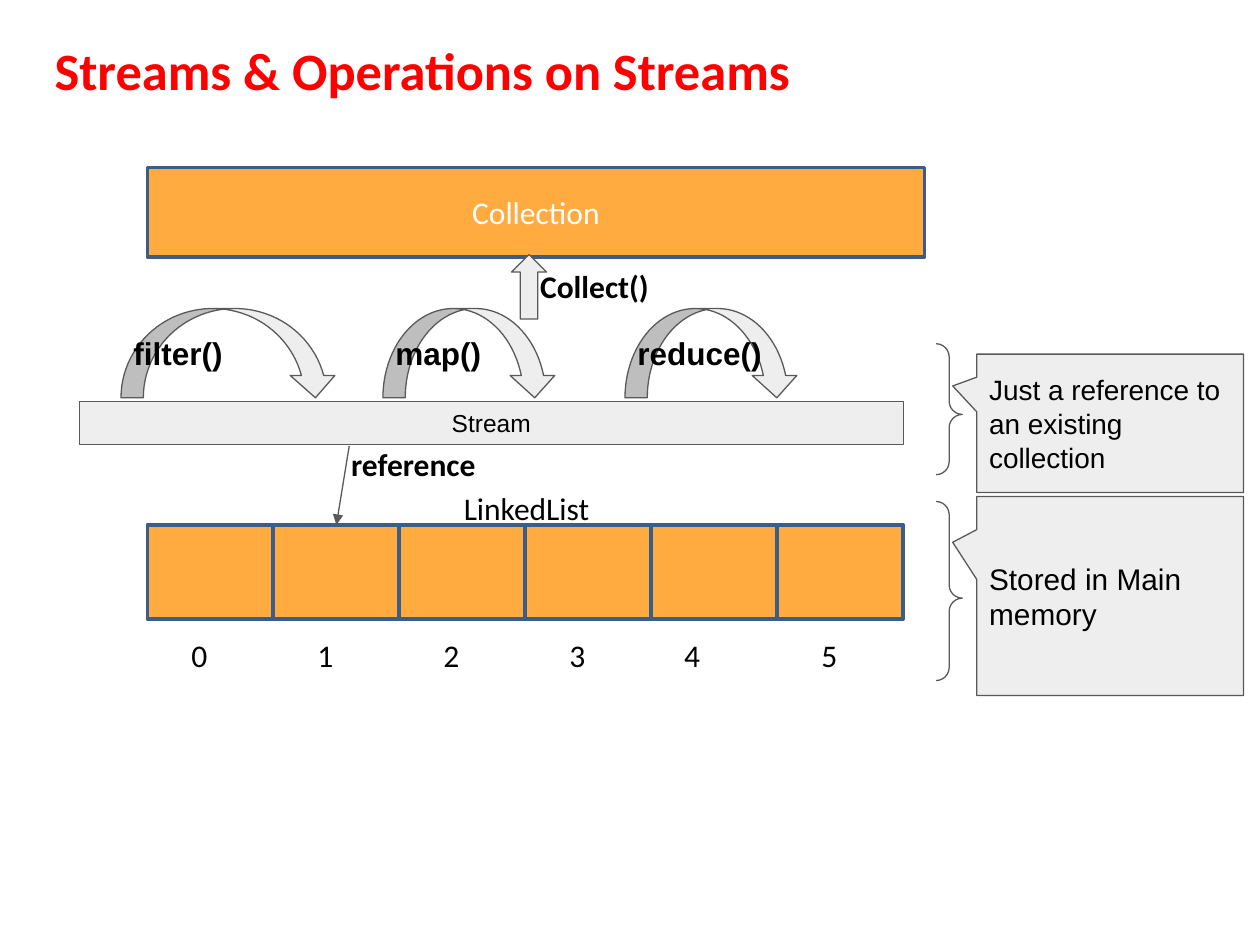
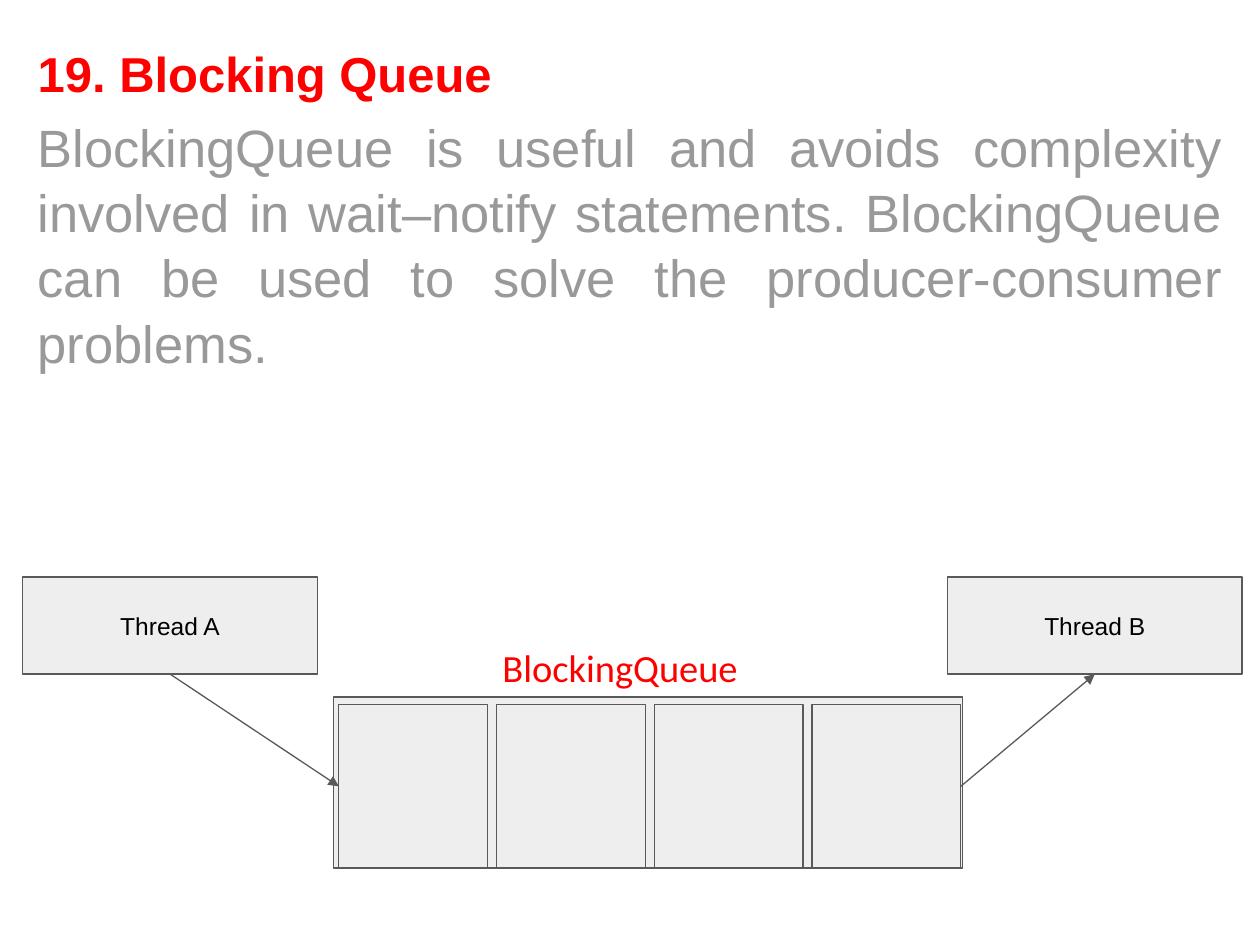
from lxml import etree
from pptx import Presentation
from pptx.dml.color import RGBColor
from pptx.enum.shapes import MSO_CONNECTOR, MSO_SHAPE
from pptx.enum.text import MSO_ANCHOR, MSO_AUTO_SIZE, PP_ALIGN
from pptx.oxml.ns import qn
from pptx.util import Cm, Pt

RECT = MSO_SHAPE.RECTANGLE
BRACE = MSO_SHAPE.RIGHT_BRACE
CALLOUT = MSO_SHAPE.ROUNDED_RECTANGULAR_CALLOUT
CURVED_ARROW = MSO_SHAPE.CURVED_DOWN_ARROW
UP_ARROW = MSO_SHAPE.UP_ARROW
STRAIGHT = MSO_CONNECTOR.STRAIGHT
TOP, MIDDLE = MSO_ANCHOR.TOP, MSO_ANCHOR.MIDDLE
LEFT, CENTER, JUSTIFY = PP_ALIGN.LEFT, PP_ALIGN.CENTER, PP_ALIGN.JUSTIFY
NO_AUTOFIT = MSO_AUTO_SIZE.NONE
TITLE_ONLY = 5
SIDE_TOP, SIDE_LEFT, SIDE_BOTTOM, SIDE_RIGHT = range(4)

RED, BLACK, WHITE = "FF0000", "000000", "FFFFFF"
ORANGE, BLUE = "FFAB40", "395E89"
LIGHT, DARK, GREY = "EEEEEE", "595959", "999999"
SANS, HUMANIST = "Arial", "Calibri"


def rgb(value):
    return RGBColor.from_string(value)


def write(shape, text, size=18, font=HUMANIST, color=BLACK, bold=False,
          align=LEFT, anchor=TOP, inset=0.13, spacing=None):
    """Put one formatted paragraph in a shape; inset is the vertical margin in cm."""
    tf = shape.text_frame
    tf.word_wrap = True
    tf.auto_size = NO_AUTOFIT
    tf.vertical_anchor = anchor
    tf.margin_left = tf.margin_right = Cm(0.25)
    tf.margin_top = tf.margin_bottom = Cm(inset)
    p = tf.paragraphs[0]
    p.alignment = align
    if spacing:
        p.line_spacing = spacing
    r = p.add_run()
    r.text = text
    r.font.size = Pt(size)
    r.font.name = font
    r.font.bold = bold
    r.font.color.rgb = rgb(color)


def add_titled_slide(prs, text, left, top, width, height, **fmt):
    s = prs.slides.add_slide(prs.slide_layouts[TITLE_ONLY])
    title = s.shapes.title
    title.left, title.top = Cm(left), Cm(top)
    title.width, title.height = Cm(width), Cm(height)
    write(title, text, color=RED, bold=True, **fmt)
    return s


def add_label(s, text, left, top, width, height, **fmt):
    box = s.shapes.add_textbox(Cm(left), Cm(top), Cm(width), Cm(height))
    write(box, text, **fmt)


def add_box(s, left, top, width, height, kind=RECT, fill=LIGHT, line=DARK,
            weight=0.75, adjust=()):
    sp = s.shapes.add_shape(kind, Cm(left), Cm(top), Cm(width), Cm(height))
    sp.shadow.inherit = False
    if fill:
        sp.fill.solid()
        sp.fill.fore_color.rgb = rgb(fill)
    else:
        sp.fill.background()
    sp.line.color.rgb = rgb(line)
    sp.line.width = Pt(weight)
    for i, value in enumerate(adjust):
        sp.adjustments[i] = value
    return sp


def add_orange_box(s, left, top, width, height):
    return add_box(s, left, top, width, height, fill=ORANGE, line=BLUE, weight=2)


def add_grey_box(s, text, left, top, width, height, size=14, bold=False,
                 align=LEFT, **shape_format):
    sp = add_box(s, left, top, width, height, **shape_format)
    write(sp, text, size=size, font=SANS, bold=bold, align=align,
          anchor=MIDDLE, inset=0.25)
    return sp


def add_arrow(s, end, end_side, start=None, start_side=SIDE_BOTTOM, origin=(0, 0)):
    """Arrow to the side of a box, from another box or from a free point."""
    x, y = map(Cm, origin)
    line = s.shapes.add_connector(STRAIGHT, x, y, x, y)
    if start is not None:
        line.begin_connect(start, start_side)
    line.end_connect(end, end_side)
    line.line.color.rgb = rgb(DARK)
    line.line.width = Pt(0.75)
    ln = line.line._get_or_add_ln()
    etree.SubElement(ln, qn("a:tailEnd"), type="triangle")
    etree.SubElement(line._element.spPr, qn("a:effectLst"))


def add_row(s, count, left, top, width, height, pitch, draw):
    return [draw(s, left + i * pitch, top, width, height) for i in range(count)]


def build_streams(prs):
    s = add_titled_slide(prs, "Streams & Operations on Streams",
                         0.85, 0.64, 22.86, 1.8, size=30)
    cells = add_row(s, 6, 2.97, 10.58, 2.54, 1.9, 2.54, add_orange_box)
    for i in range(len(cells)):
        nudge = -0.23 if i == 4 else 0
        add_label(s, str(i), 3.61 + i * 2.54 + nudge, 12.7, 1.27, 1.02)
    add_label(s, "LinkedList", 9.1, 9.73, 3.81, 1.02)
    add_grey_box(s, "Stream", 1.6, 8.1, 16.61, 0.86, align=CENTER)

    notes = [("Stored in Main memory", 17, 10.01, 4.01, 10.11, 3.61),
             ("Just a reference to an existing collection", 16, 7.14, 2.79, 6.93, 2.64)]
    for text, size, top, height, brace_top, brace_height in notes:
        add_box(s, 18.87, brace_top, 0.53, brace_height, kind=BRACE, fill=None,
                adjust=(0.5, 0.54))
        add_grey_box(s, text, 19.69, top, 5.38, height, size=size, kind=CALLOUT,
                     adjust=(-0.59, -0.27, 0))

    for text, left, width in [("filter()", 2.44, 4.37), ("map()", 7.72, 3.51),
                              ("reduce()", 12.6, 3.51)]:
        add_grey_box(s, text, left, 6.22, width, 1.8, size=18, bold=True,
                     kind=CURVED_ARROW, adjust=(0.25, 0.5, 0.25))

    collection = add_orange_box(s, 2.97, 3.38, 15.67, 1.8)
    write(collection, "Collection", color=WHITE, align=CENTER, anchor=MIDDLE)
    add_box(s, 10.31, 5.13, 0.71, 1.3, kind=UP_ARROW)
    add_label(s, "Collect()", 10.64, 5.16, 2.84, 0.43, bold=True, inset=0.25)
    add_arrow(s, cells[1], SIDE_TOP, origin=(7.04, 8.99))
    add_label(s, "reference", 6.83, 8.76, 3.51, 0.43, bold=True, inset=0.25)


def build_blocking_queue(prs):
    s = add_titled_slide(prs, "19. Blocking Queue", 0.51, 0.75, 24.38, 1.4,
                         size=28, font=SANS)
    add_label(s, "BlockingQueue is useful and avoids complexity involved in "
                 "wait–notify statements. BlockingQueue can be used to solve "
                 "the producer-consumer problems.",
              0.51, 2.13, 24.38, 5.4, size=30, font=SANS, color=GREY,
              align=JUSTIFY, spacing=1.04)
    add_box(s, 6.73, 14.05, 12.67, 3.45)
    slots = add_row(s, 4, 6.83, 14.2, 3, 3.3, 3.18, add_box)
    producer, consumer = [
        add_grey_box(s, text, left, 11.63, 5.94, 1.96, align=CENTER)
        for text, left in [("Thread A", 0.46), ("Thread B", 19.1)]]
    add_arrow(s, slots[0], SIDE_LEFT, start=producer)
    add_arrow(s, consumer, SIDE_BOTTOM, start=slots[-1], start_side=SIDE_RIGHT)
    add_label(s, "BlockingQueue", 9.88, 12.73, 5.94, 1.04, size=22, color=RED,
              inset=0.25)


def main():
    prs = Presentation()
    prs.slide_width, prs.slide_height = Cm(25.4), Cm(19.05)
    build_streams(prs)
    build_blocking_queue(prs)
    prs.save("out.pptx")


if __name__ == "__main__":
    main()
